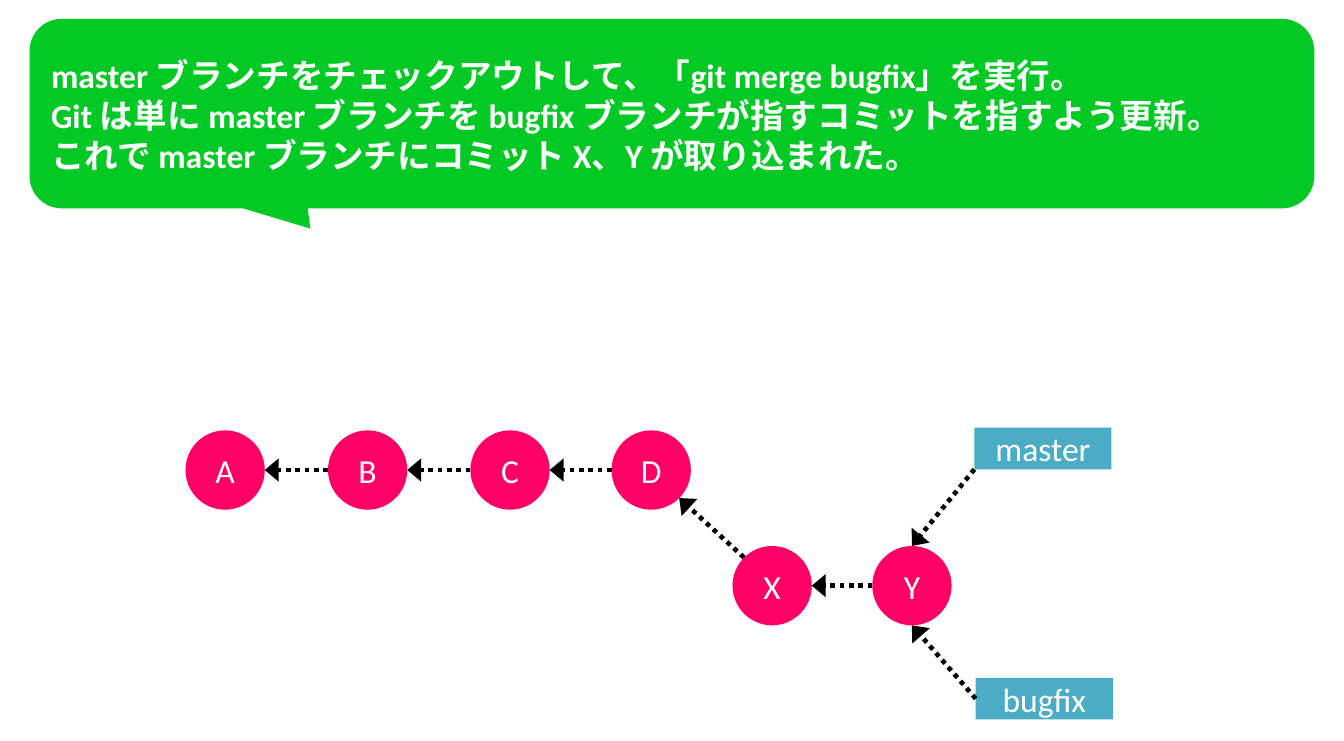
import math

from lxml import etree
from pptx import Presentation
from pptx.dml.color import RGBColor
from pptx.enum.dml import MSO_LINE
from pptx.enum.shapes import MSO_CONNECTOR, MSO_SHAPE
from pptx.enum.text import MSO_ANCHOR, PP_ALIGN
from pptx.oxml.ns import qn
from pptx.util import Inches, Pt

OVAL, RECT = MSO_SHAPE.OVAL, MSO_SHAPE.RECTANGLE
STRAIGHT = MSO_CONNECTOR.STRAIGHT
DOTTED = MSO_LINE.ROUND_DOT
MIDDLE = MSO_ANCHOR.MIDDLE
LEFT, CENTER = PP_ALIGN.LEFT, PP_ALIGN.CENTER

GREEN = RGBColor(0x03, 0xC9, 0x24)
PINK = RGBColor(0xFF, 0x00, 0x66)
BLUE = RGBColor(0x4B, 0xAC, 0xC6)
WHITE = RGBColor(0xFF, 0xFF, 0xFF)
BLACK = RGBColor(0x00, 0x00, 0x00)

# Content
EXPLANATION = [
    "master ブランチをチェックアウトして、「git merge bugfix」を実行。",
    "Git は単に master ブランチを bugfix ブランチが指すコミットを指すよう更新。",
    "これで master ブランチにコミット X、Y が取り込まれた。",
]
MASTER_ROW, BUGFIX_ROW = 3.2, 4.06
COMMITS = {  # left, top
    "A": (1.38, MASTER_ROW),
    "B": (2.44, MASTER_ROW),
    "C": (3.5, MASTER_ROW),
    "D": (4.55, MASTER_ROW),
    "X": (5.45, BUGFIX_ROW),
    "Y": (6.49, BUGFIX_ROW),
}
# child, parent, direction in degrees from the parent to the child
PARENTS = [("B", "A", 0), ("C", "B", 0), ("D", "C", 0), ("X", "D", 45), ("Y", "X", 0)]
BRANCHES = {"master": (7.25, 3.18), "bugfix": (7.26, 5.04)}
DIAMETER = 0.59
LABEL_W, LABEL_H = 1.02, 0.31

prs = Presentation()
prs.slide_width, prs.slide_height = Inches(10), Inches(5.51)
slide = prs.slides.add_slide(prs.slide_layouts[6])
shapes = slide.shapes


def style(shape, color, lines, insets, align=CENTER, bold=False):
    shape.shadow.inherit = False
    shape.fill.solid()
    shape.fill.fore_color.rgb = color
    shape.line.fill.background()
    frame = shape.text_frame
    frame.word_wrap = True
    frame.vertical_anchor = MIDDLE
    (frame.margin_left, frame.margin_top,
     frame.margin_right, frame.margin_bottom) = map(Inches, insets)
    frame.text = "\n".join(lines)
    for paragraph in frame.paragraphs:
        paragraph.alignment = align
        font = paragraph.runs[0].font
        font.name, font.size, font.bold = "Calibri", Pt(18), bold
        font.color.rgb = WHITE


def on_circle(center, radius, degrees):
    angle = math.radians(degrees)
    return center[0] + radius * math.cos(angle), center[1] + radius * math.sin(angle)


def commit_edge(name, degrees):
    left, top = COMMITS[name]
    radius = DIAMETER / 2
    return on_circle((left + radius, top + radius), radius, degrees)


def add_arrow(start, end):
    arrow = shapes.add_connector(STRAIGHT, *map(Inches, start + end))
    arrow.line.color.rgb = BLACK
    arrow.line.width = Pt(2.5)
    arrow.line.dash_style = DOTTED
    properties = arrow.line._get_or_add_ln()
    etree.SubElement(properties, qn("a:tailEnd"), type="triangle", w="lg", len="med")
    etree.SubElement(arrow._element.spPr, qn("a:effectLst"))
    return arrow


# Speech bubble: rounded corners, with a tail on the lower edge
left, top, right, bottom, corner = 0.22, 0.14, 9.78, 1.55, 0.24
corners = [
    (left + corner, top + corner, 180),
    (right - corner, top + corner, 270),
    (right - corner, bottom - corner, 0),
    (left + corner, bottom - corner, 90),
]
outline = [
    on_circle((x, y), corner, first + step)
    for x, y, first in corners
    for step in range(0, 91, 9)
]
tail = [(2.29, bottom), (2.31, 1.7), (1.81, bottom)]
lower_left = 3 * len(outline) // 4
outline[lower_left:lower_left] = tail
# The builder rounds to whole units, so the points are given in EMU
points = [(Inches(x), Inches(y)) for x, y in outline]
builder = shapes.build_freeform(*points[0])
builder.add_line_segments(points[1:], close=True)
bubble = builder.convert_to_shape()
style(bubble, GREEN, EXPLANATION, (0.16, 0, 0.16, 0.13), LEFT, bold=True)

# Commits
for name, (x, y) in COMMITS.items():
    commit = shapes.add_shape(OVAL, *map(Inches, (x, y, DIAMETER, DIAMETER)))
    style(commit, PINK, [name], (0.1, 0.05, 0.1, 0.05))

# Branch labels
labels = {}
for name, (x, y) in BRANCHES.items():
    labels[name] = shapes.add_shape(RECT, *map(Inches, (x, y, LABEL_W, LABEL_H)))
    style(labels[name], BLUE, [name], (0.1, 0, 0.1, 0))

# Arrows from each commit to its parent
for child, parent, direction in PARENTS:
    add_arrow(commit_edge(child, direction + 180), commit_edge(parent, direction))

# Arrows from the branches to the latest commit
x, y = BRANCHES["master"]
add_arrow((x, y + LABEL_H), commit_edge("Y", 270))
x, y = BRANCHES["bugfix"]
bugfix_arrow = add_arrow((x, y + LABEL_H / 2), commit_edge("Y", 90))
bugfix_arrow.begin_connect(labels["bugfix"], 1)

prs.save("out.pptx")
